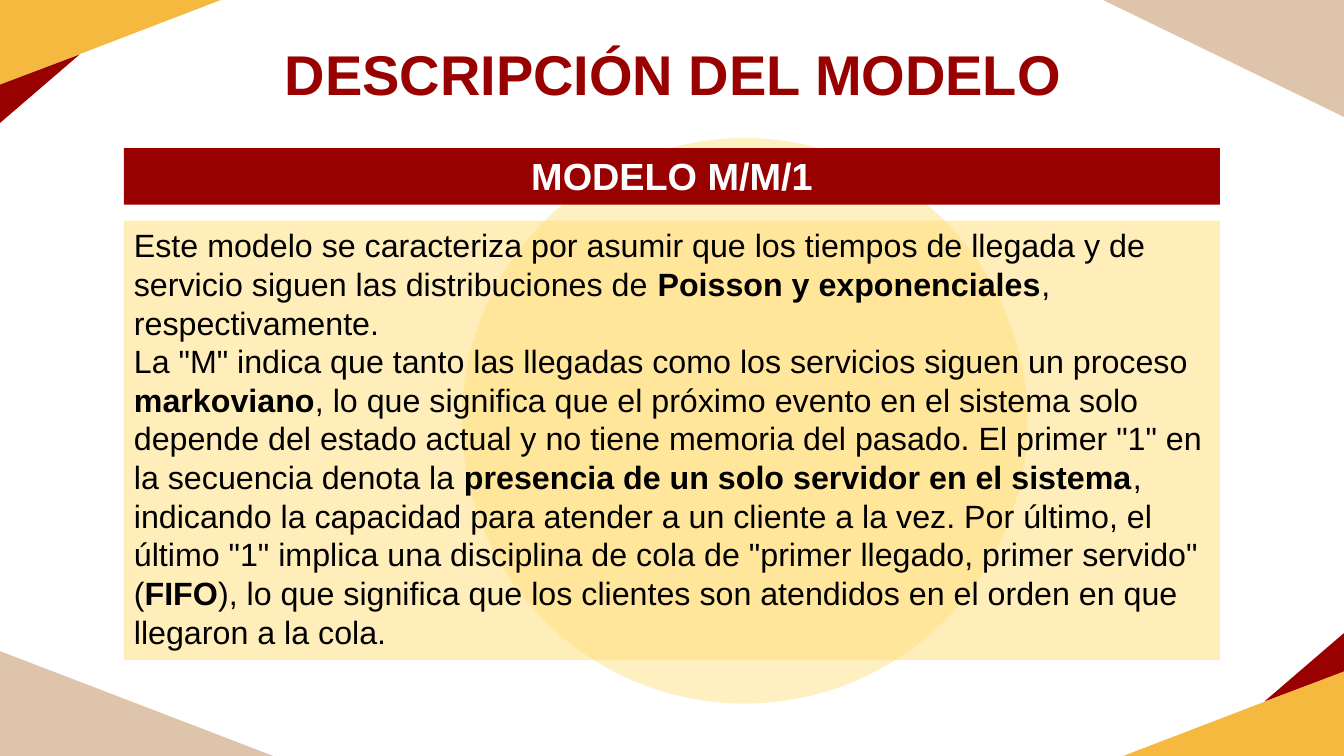
from lxml.etree import SubElement
from pptx import Presentation
from pptx.dml.color import RGBColor
from pptx.enum.shapes import MSO_SHAPE
from pptx.enum.text import MSO_ANCHOR, PP_ALIGN
from pptx.oxml.ns import qn
from pptx.util import Inches, Pt

# Content: ** marks the start and end of bold words
TITLE = "DESCRIPCIÓN DEL MODELO"
HEADING = "MODELO M/M/1"
DESCRIPTION = [
    "Este modelo se caracteriza por asumir que los tiempos de llegada y de servicio siguen "
    "las distribuciones de **Poisson y exponenciales**, respectivamente.",
    'La "M" indica que tanto las llegadas como los servicios siguen un proceso **markoviano**, '
    "lo que significa que el próximo evento en el sistema solo depende del estado actual y no "
    'tiene memoria del pasado. El primer "1" en la secuencia denota la **presencia de un solo '
    "servidor en el sistema**, indicando la capacidad para atender a un cliente a la vez. Por "
    'último, el último "1" implica una disciplina de cola de "primer llegado, primer servido" '
    "(**FIFO**), lo que significa que los clientes son atendidos en el orden en que llegaron "
    "a la cola.",
]
COLORS = {"red": "990000", "gold": "F6B940", "brown": "B8804A", "cream": "FFF0C1",
          "yellow": "FFDE75", "white": "FFFFFF", "black": "000000"}
FONT = "Arial"

# Layout in inches
WIDTH, HEIGHT = 13.33, 7.5
BAND_WIDTH = 10.87
BAND_LEFT = (WIDTH - BAND_WIDTH) / 2
HEADING_TOP, HEADING_HEIGHT = 1.47, 0.56
BODY_TOP, BODY_HEIGHT = 2.19, 4.36
TITLE_WIDTH = 12.66
CIRCLE = (4.58, 1.37, 5.61, 5.61)
# Corner pieces at the top left; the bottom right repeats them turned half round
CORNER = [("gold", [(0, 0), (2.19, 0), (0, 0.84)]),
          ("red", [(0, 0.84), (0.79, 0.54), (0, 1.22)])]
# Brown corners: width, height
LOWER_LEFT = (2.71, 1.04)
UPPER_RIGHT = (2.39, 1.16)

prs = Presentation()
prs.slide_width, prs.slide_height = Inches(WIDTH), Inches(HEIGHT)
slide = prs.slides.add_slide(prs.slide_layouts[6])


def paint(shape, color, alpha=100):
    shape.shadow.inherit = False
    shape.line.fill.background()
    shape.fill.solid()
    shape.fill.fore_color.rgb = RGBColor.from_string(COLORS[color])
    if alpha < 100:
        hue = shape.fill._xPr.find(qn("a:solidFill"))[0]
        SubElement(hue, qn("a:alpha")).set("val", str(alpha * 1000))
    return shape


def add_preset(kind, box, color, alpha=100):
    return paint(slide.shapes.add_shape(kind, *map(Inches, box)), color, alpha)


def write(shape, texts, size, color, align, bold=None, anchor=MSO_ANCHOR.TOP, spacing=None):
    frame = shape.text_frame
    frame.word_wrap = True
    frame.vertical_anchor = anchor
    for i, text in enumerate(texts):
        paragraph = frame.paragraphs[0] if i == 0 else frame.add_paragraph()
        paragraph.alignment = align
        paragraph.line_spacing = spacing
        paragraph.font.name = FONT
        paragraph.font.size = Pt(size)
        paragraph.font.bold = bold
        paragraph.font.color.rgb = RGBColor.from_string(COLORS[color])
        for j, part in enumerate(text.split("**")):
            run = paragraph.add_run()
            run.text = part
            if j % 2:
                run.font.bold = True


# Circle behind the text
add_preset(MSO_SHAPE.OVAL, CIRCLE, "cream")

# Title
title = slide.shapes.add_textbox(Inches((WIDTH - TITLE_WIDTH) / 2 + 0.01), Inches(0.37),
                                 Inches(TITLE_WIDTH), Inches(0.79))
write(title, [TITLE], 40, "red", PP_ALIGN.CENTER, True, MSO_ANCHOR.MIDDLE, 0.9)

# Brown corners
add_preset(MSO_SHAPE.RIGHT_TRIANGLE, (0, HEIGHT - LOWER_LEFT[1], *LOWER_LEFT), "brown", 46)
upper_right = add_preset(MSO_SHAPE.RIGHT_TRIANGLE,
                         (WIDTH - UPPER_RIGHT[0], 0, *UPPER_RIGHT), "brown", 46)
upper_right.rotation = 180

# Gold and red corners
for turned in (False, True):
    for color, points in CORNER:
        if turned:
            points = [(WIDTH - x, HEIGHT - y) for x, y in points]
        start, *others = [(Inches(x), Inches(y)) for x, y in points]
        outline = slide.shapes.build_freeform(*start)
        outline.add_line_segments(others, close=True)
        paint(outline.convert_to_shape(), color)

# Heading band and description
heading = add_preset(MSO_SHAPE.RECTANGLE,
                     (BAND_LEFT, HEADING_TOP, BAND_WIDTH, HEADING_HEIGHT), "red")
write(heading, [HEADING], 27, "white", PP_ALIGN.CENTER, True)
description = add_preset(MSO_SHAPE.RECTANGLE,
                         (BAND_LEFT, BODY_TOP, BAND_WIDTH, BODY_HEIGHT), "yellow", 50)
write(description, DESCRIPTION, 23, "black", PP_ALIGN.LEFT)

prs.save("out.pptx")
